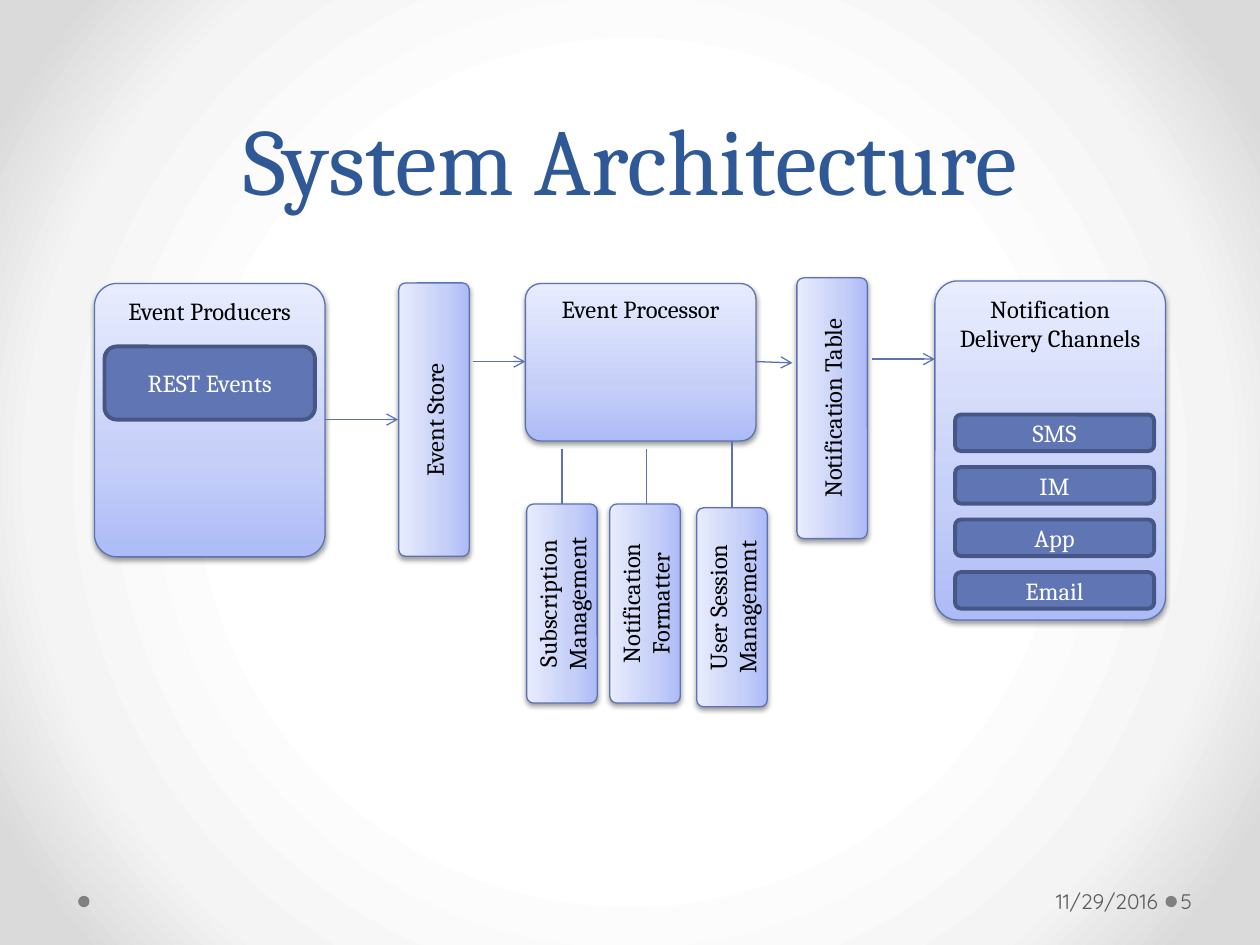
from dataclasses import dataclass
from lxml import etree
from pptx import Presentation
from pptx.dml.color import RGBColor
from pptx.enum.shapes import MSO_CONNECTOR as Conn, MSO_SHAPE as Shape
from pptx.enum.text import MSO_ANCHOR as Anchor, PP_ALIGN as Align
from pptx.oxml.ns import qn
from pptx.util import Inches, Pt


@dataclass(frozen=True)
class Theme:
    font: str = "Cambria"
    footer_font: str = "Quicksand"
    title_size: int = 54
    body_size: int = 14
    footer_size: int = 12
    title: str = "2F5897"
    dark: str = "000000"
    light: str = "FFFFFF"
    footer: str = "595959"
    dot: str = "808080"
    line: str = "5C72B2"
    item: str = "6076B4"
    item_line: str = "475785"
    panel: tuple = ((0, "ADBBF6"), (35, "C5CFF8"), (100, "E8ECFD"))
    backdrop: tuple = ((50, "FFFFFF"), (76, "F4F4F4"), (92, "DADADA"))


def add_node(parent, tag, **attrs):
    return etree.SubElement(parent, qn(tag), {k: str(v) for k, v in attrs.items()})


def write_text(shape, text, size, color, font, align=Align.CENTER,
               anchor=Anchor.MIDDLE, insets=(0.1, 0.05, 0.1, 0.05), spacing=None):
    tf = shape.text_frame
    tf.word_wrap = True
    tf.vertical_anchor = anchor
    tf.margin_left, tf.margin_top, tf.margin_right, tf.margin_bottom = map(Inches, insets)
    p = tf.paragraphs[0]
    p.alignment = align
    if spacing:
        p.line_spacing = Pt(spacing)
    r = p.add_run()
    r.text = text
    r.font.size = Pt(size)
    r.font.name = font
    r.font.color.rgb = RGBColor.from_string(color)


class Deck:
    def __init__(self, s, theme):
        self.s, self.theme = s, theme

    def gradient(self, fill, root, stops, circle=False):
        fill.gradient()
        grad = next(root.iter(qn("a:gradFill")))
        for child in list(grad):
            grad.remove(child)
        gs_list = add_node(grad, "a:gsLst")
        for pos, color in stops:
            gs = add_node(gs_list, "a:gs", pos=pos * 1000)
            add_node(gs, "a:srgbClr", val=color)
        if circle:
            path = add_node(grad, "a:path", path="circle")
            add_node(path, "a:fillToRect", l=50000, t=50000, r=50000, b=50000)
        else:
            add_node(grad, "a:lin", ang=270 * 60000, scaled=0)

    def background(self):
        self.gradient(self.s.background.fill, self.s.element, self.theme.backdrop, circle=True)

    def shape(self, kind, x, y, w, h, fill=None, line=None, width=0.75):
        sp = self.s.shapes.add_shape(kind, Inches(x), Inches(y), Inches(w), Inches(h))
        sp.shadow.inherit = False
        if fill:
            sp.fill.solid()
            sp.fill.fore_color.rgb = RGBColor.from_string(fill)
        if line:
            sp.line.color.rgb = RGBColor.from_string(line)
            sp.line.width = Pt(width)
        else:
            sp.line.fill.background()
        return sp

    def dot(self, x, y):
        self.shape(Shape.OVAL, x, y, 0.09, 0.09, self.theme.dot)

    def panel(self, text, x, y, w, h, anchor=Anchor.TOP):
        t = self.theme
        sp = self.shape(Shape.ROUNDED_RECTANGLE, x, y, w, h, line=t.line)
        sp.adjustments[0] = 0.098
        self.gradient(sp.fill, sp.element, t.panel)
        effects = next(sp.element.iter(qn("a:effectLst")))
        shadow = add_node(effects, "a:outerShdw", blurRad=Pt(3.1), dist=Pt(1.6),
                          dir=90 * 60000, rotWithShape=0)
        add_node(add_node(shadow, "a:srgbClr", val=t.dark), "a:alpha", val=38000)
        write_text(sp, text, t.body_size, t.dark, t.font, anchor=anchor)
        return sp

    def upright_panel(self, text, x, y, length):
        self.panel(text, x, y, length, 0.56, Anchor.MIDDLE).rotation = 270

    def item(self, text, x, y, w, h):
        t = self.theme
        sp = self.shape(Shape.ROUNDED_RECTANGLE, x, y, w, h, t.item, t.item_line, 2.25)
        write_text(sp, text, t.body_size, t.light, t.font)

    def link(self, x1, y1, x2, y2, arrow=False):
        c = self.s.shapes.add_connector(Conn.STRAIGHT, *map(Inches, (x1, y1, x2, y2)))
        c.line.color.rgb = RGBColor.from_string(self.theme.line)
        c.line.width = Pt(0.75)
        if arrow:
            add_node(c.line._get_or_add_ln(), "a:tailEnd", type="arrow")
        add_node(c.element.spPr, "a:effectLst")

    def text(self, text, x, y, w, h, **style):
        box = self.s.shapes.add_textbox(Inches(x), Inches(y), Inches(w), Inches(h))
        write_text(box, text, **style)


prs = Presentation()
prs.slide_width, prs.slide_height = Inches(10), Inches(7.5)
theme = Theme()
deck = Deck(prs.slides.add_slide(prs.slide_layouts[6]), theme)

deck.background()
for x in (9.25, 0.62):
    deck.dot(x, 7.11)
deck.text("System Architecture", 0.5, 0, 9, 1.75, size=theme.title_size,
          color=theme.title, font=theme.font, anchor=Anchor.BOTTOM, spacing=58)

for text, x, y, h in (
    ("Event Producers", 0.75, 2.25, 2.17),
    ("Event Processor", 4.17, 2.25, 1.25),
    ("Notification Delivery Channels", 7.42, 2.23, 2.69),
):
    deck.panel(text, x, y, 1.83, h)

for text, x, y, length in (
    ("Event Store", 2.36, 3.05, 2.17),
    ("Subscription Management", 3.67, 4.51, 1.58),
    ("Notification Formatter", 4.33, 4.51, 1.58),
    ("User Session Management", 5.02, 4.54, 1.58),
    ("Notification Table", 5.57, 2.96, 2.07),
):
    deck.upright_panel(text, x, y, length)

deck.item("REST Events", 0.83, 2.75, 1.67, 0.58)
for i, channel in enumerate(("SMS", "IM", "App", "Email")):
    deck.item(channel, 7.58, 3.29 + i * 1.25 / 3, 1.58, 0.29)

for ends in (
    (2.58, 3.33, 3.16, 3.33),
    (3.75, 2.87, 4.17, 2.87),
    (6, 2.87, 6.29, 2.88),
    (6.92, 2.85, 7.42, 2.85),
):
    deck.link(*ends, arrow=True)
for x, top, bottom in ((4.46, 3.56, 4), (5.13, 3.56, 4), (5.81, 3.5, 4.03)):
    deck.link(x, top, x, bottom)

footer = dict(size=theme.footer_size, color=theme.footer, font=theme.footer_font)
deck.text("11/29/2016", 6.96, 6.95, 2.28, 0.4, align=Align.RIGHT,
          insets=(0.1, 0.05, 0.05, 0.05), **footer)
deck.text("5", 9.34, 6.95, 0.61, 0.4, align=Align.LEFT,
          insets=(0.03, 0.05, 0.05, 0.05), **footer)

prs.save("out.pptx")
